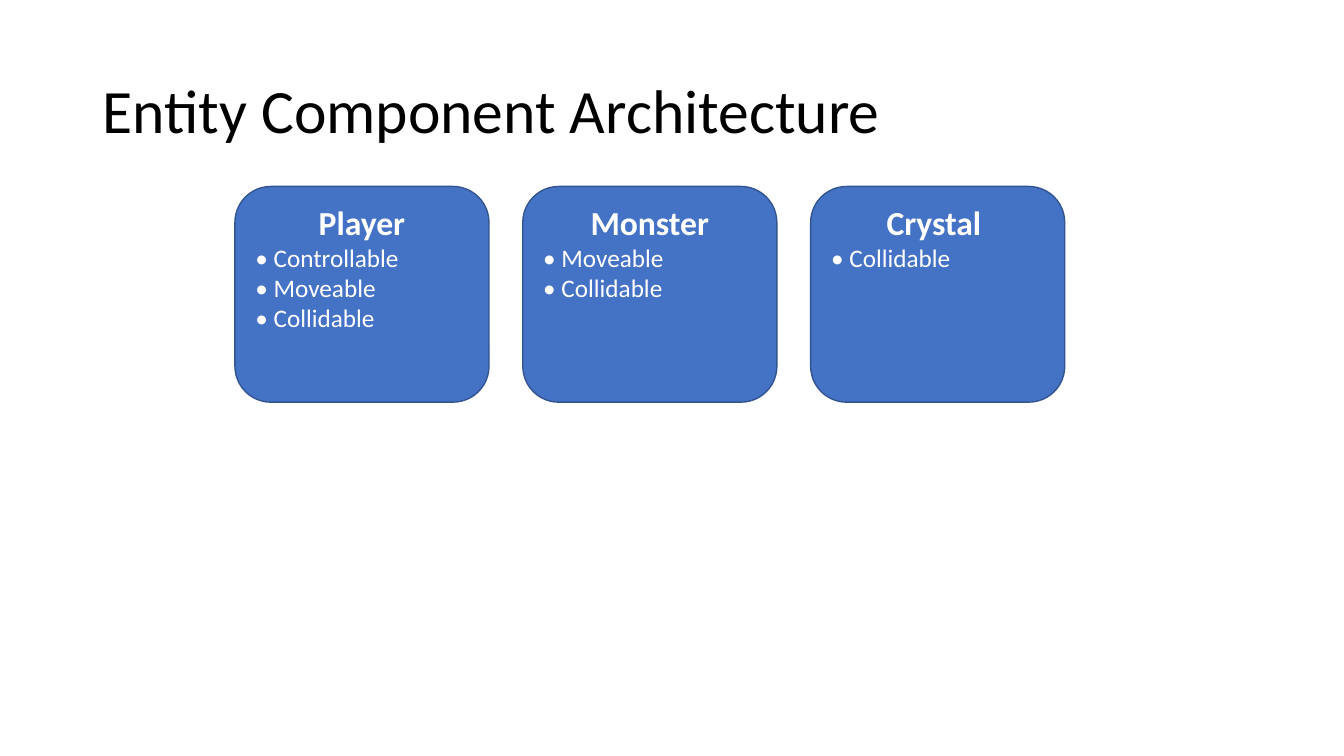
from pptx import Presentation
from pptx.dml.color import RGBColor
from pptx.enum.shapes import MSO_SHAPE as Shape
from pptx.enum.text import MSO_ANCHOR as Anchor, PP_ALIGN as Align
from pptx.util import Inches, Pt

FONT = "Calibri"
CARD_LEFT, CARD_TOP, CARD_STEP = 2.33, 1.85, 2.855
CARD_WIDTH, CARD_HEIGHT = 2.52, 2.14
ENTITIES = [
    ("Player", ["Controllable", "Moveable", "Collidable"]),
    ("Monster", ["Moveable", "Collidable"]),
    ("Crystal ", ["Collidable"]),
]


def color(value):
    """Turn a hex string into a colour."""
    return RGBColor.from_string(value)


def add_run(paragraph, text, size, text_color, bold=False):
    """Add one formatted run to a paragraph."""
    run = paragraph.add_run()
    run.text = text
    run.font.name = FONT
    run.font.size = Pt(size)
    run.font.bold = bold
    run.font.color.rgb = color(text_color)


def add_title(slide, text):
    """Add the slide title."""
    box = slide.shapes.add_textbox(Inches(0.92), Inches(0.4), Inches(11.5), Inches(1.45))
    frame = box.text_frame
    frame.word_wrap = True
    frame.vertical_anchor = Anchor.MIDDLE
    paragraph = frame.paragraphs[0]
    paragraph.line_spacing = 0.9
    add_run(paragraph, text, 44, "000000")


def add_entity_card(slide, left, name, components):
    """Add a rounded card with an entity name and its components."""
    shape = slide.shapes.add_shape(
        Shape.ROUNDED_RECTANGLE,
        Inches(left), Inches(CARD_TOP), Inches(CARD_WIDTH), Inches(CARD_HEIGHT),
    )
    shape.shadow.inherit = False
    shape.fill.solid()
    shape.fill.fore_color.rgb = color("4472C4")
    shape.line.color.rgb = color("325491")
    shape.line.width = Pt(1)
    frame = shape.text_frame
    frame.word_wrap = True
    frame.vertical_anchor = Anchor.TOP
    heading = frame.paragraphs[0]
    heading.alignment = Align.CENTER
    add_run(heading, name, 24, "FFFFFF", bold=True)
    for component in components:
        paragraph = frame.add_paragraph()
        paragraph.alignment = Align.LEFT
        add_run(paragraph, f"• {component}", 18, "FFFFFF")


def main():
    """Build and save the slide."""
    presentation = Presentation()
    presentation.slide_width = Inches(13.33)
    presentation.slide_height = Inches(7.5)
    slide = presentation.slides.add_slide(presentation.slide_layouts[6])
    add_title(slide, "Entity Component Architecture")
    for index, (name, components) in enumerate(ENTITIES):
        add_entity_card(slide, CARD_LEFT + index * CARD_STEP, name, components)
    presentation.save("out.pptx")


if __name__ == "__main__":
    main()
